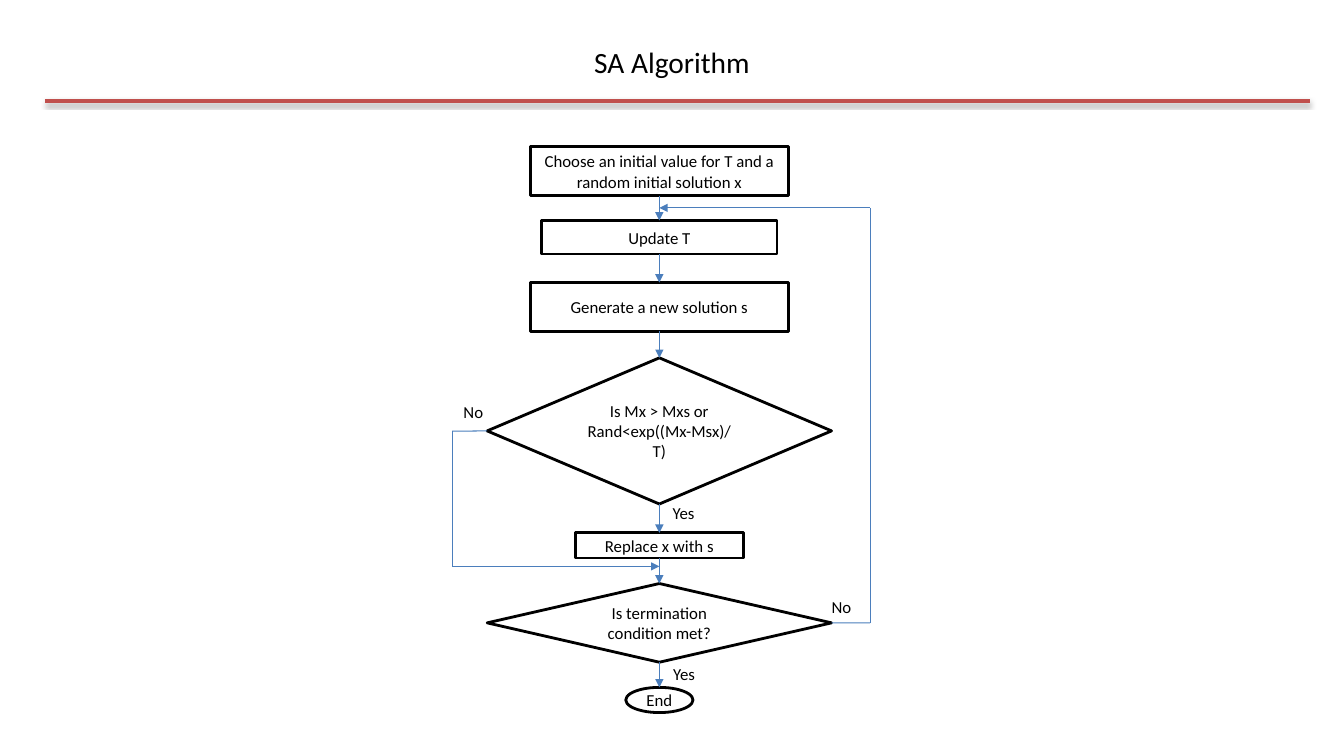
from itertools import pairwise

from lxml import etree
from pptx import Presentation
from pptx.dml.color import RGBColor
from pptx.enum.shapes import MSO_CONNECTOR, MSO_SHAPE
from pptx.enum.text import MSO_ANCHOR, MSO_AUTO_SIZE, PP_ALIGN
from pptx.oxml.ns import qn
from pptx.util import Pt

COLORS = {"black": "000000", "white": "FFFFFF", "red": "C0504D", "blue": "4B7EBC"}
CENTER = 471


def color(name):
    return RGBColor.from_string(COLORS[name])


def write_text(shape, text, size, align):
    """Fill a shape with one paragraph per line, in black Calibri."""
    frame = shape.text_frame
    frame.word_wrap = True
    frame.text = text
    for paragraph in frame.paragraphs:
        paragraph.alignment = align
        formats = {"name": "Calibri", "size": Pt(size), "bold": False}
        for attribute, value in formats.items():
            setattr(paragraph.font, attribute, value)
        paragraph.font.color.rgb = color("black")


presentation = Presentation()
presentation.slide_width, presentation.slide_height = Pt(960), Pt(540)
slide = presentation.slides.add_slide(presentation.slide_layouts[5])
shapes = slide.shapes

# Title
title = shapes.title
title.left, title.top, title.width, title.height = Pt(48), Pt(21.6), Pt(864), Pt(44.6)
write_text(title, "SA Algorithm", 21, PP_ALIGN.CENTER)
title.text_frame.auto_size = MSO_AUTO_SIZE.NONE
title.text_frame.vertical_anchor = MSO_ANCHOR.MIDDLE

# Steps of the flowchart: shape, top, width, height, text
RECTANGLE, DECISION = MSO_SHAPE.RECTANGLE, MSO_SHAPE.FLOWCHART_DECISION
STEPS = [
    (RECTANGLE, 104.8, 184, 35, "Choose an initial value for T and a random initial solution x"),
    (RECTANGLE, 157.5, 168, 24, "Update T"),
    (RECTANGLE, 201.8, 184, 35, "Generate a new solution s"),
    (DECISION, 255.6, 246, 104.4, "Is Mx > Mxs or\nRand<exp((Mx-Msx)/T)"),
    (RECTANGLE, 380.6, 120, 18, "Replace x with s"),
    (DECISION, 416.8, 246, 56.2, "Is termination condition met?"),
    (MSO_SHAPE.OVAL, 491, 48, 18, "End"),
]
steps = []
for kind, top, width, height, text in STEPS:
    step = shapes.add_shape(kind, Pt(CENTER - width / 2), Pt(top), Pt(width), Pt(height))
    step.shadow.inherit = False
    step.fill.solid()
    step.fill.fore_color.rgb = color("white")
    step.line.color.rgb = color("black")
    step.line.width = Pt(2)
    step.text_frame.vertical_anchor = MSO_ANCHOR.MIDDLE
    write_text(step, text, 12, PP_ALIGN.CENTER)
    steps.append(step)
acceptance, termination = steps[3], steps[5]

# Lines: start, end, colour, width, arrow, (start shape, site), (end shape, site)
lines = [((32, 72), (936, 72), "red", 3, False, None, None)]
for upper, lower in pairwise(steps):
    start = (CENTER, upper.top.pt + upper.height.pt)
    end = (CENTER, lower.top.pt)
    lines.append((start, end, "blue", 0.75, True, (upper, 2), (lower, 0)))

# Branches taken on "No": decision, site, corner points
BRANCHES = [
    (termination, 3, [(594, 445), (621.5, 445), (621.5, 148.5), (CENTER, 148.5)]),
    (acceptance, 1, [(348, 308), (323, 308), (323, 404.6), (CENTER, 404.6)]),
]
for decision, site, points in BRANCHES:
    for start, end in pairwise(points):
        joint = (decision, site) if start == points[0] else None
        lines.append((start, end, "blue", 0.75, end == points[-1], joint, None))

for start, end, line_color, width, arrow, begin_joint, end_joint in lines:
    connector = shapes.add_connector(MSO_CONNECTOR.STRAIGHT, *map(Pt, start + end))
    if begin_joint:
        connector.begin_connect(*begin_joint)
    if end_joint:
        connector.end_connect(*end_joint)
    connector.line.color.rgb = color(line_color)
    connector.line.width = Pt(width)
    properties = connector._element.spPr
    if arrow:
        etree.SubElement(properties.find(qn("a:ln")), qn("a:tailEnd"), type="triangle")
    effects = etree.SubElement(properties, qn("a:effectLst"))
    if line_color == "red":
        shadow = etree.SubElement(effects, qn("a:outerShdw"), blurRad=str(Pt(3.1)),
                                  dist=str(Pt(1.8)), dir="5400000", rotWithShape="0")
        shade = etree.SubElement(shadow, qn("a:srgbClr"), val=COLORS["black"])
        etree.SubElement(shade, qn("a:alpha"), val="35000")

# Answers beside the decisions
ANSWERS = [("No", 587, 422.8), ("No", 324, 283.5), ("Yes", 473.4, 355.8), ("Yes", 473.8, 470.3)]
for answer, left, top in ANSWERS:
    label = shapes.add_textbox(Pt(left), Pt(top), Pt(36), Pt(21.8))
    write_text(label, answer, 12, PP_ALIGN.LEFT)

presentation.save("out.pptx")
